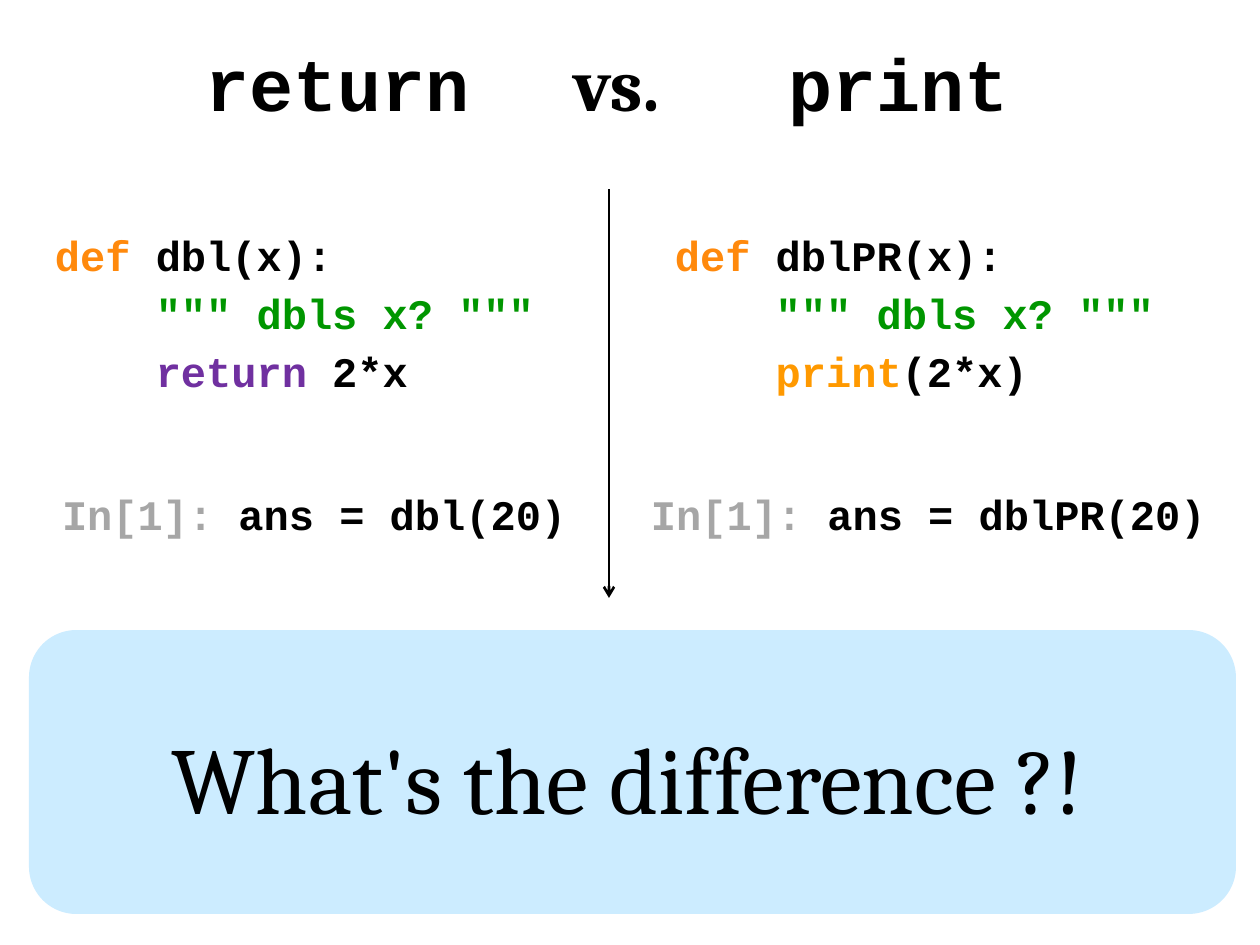
"""Build the slide that compares return with print."""
from dataclasses import dataclass

from lxml.etree import SubElement
from pptx import Presentation
from pptx.dml.color import RGBColor
from pptx.enum.shapes import MSO_CONNECTOR, MSO_SHAPE
from pptx.enum.text import PP_ALIGN
from pptx.oxml.ns import qn
from pptx.slide import Slide
from pptx.text.text import _Paragraph as Paragraph
from pptx.util import Emu, Pt

COLORS = {
    "black": "000000",
    "keyword": "FF890C",
    "docstring": "009600",
    "return": "7030A0",
    "print": "FF9900",
    "prompt": "A6A6A6",
    "panel": "CCECFF",
}
SERIF = "Cambria"
MONO = "Courier New"


@dataclass(frozen=True)
class Piece:
    text: str
    color: str = "black"
    font: str = MONO
    bold: bool = True


@dataclass(frozen=True)
class TextBlock:
    left: int
    top: int
    width: int
    height: int
    size: int
    lines: tuple[tuple[Piece, ...], ...]
    centered: bool = False
    line_spacing: float = 1.0
    space_before: int = 0
    margin_left: int = 13
    margin_top: int = 6
    tab_stops: tuple[int, ...] = ()


def px(length: int) -> Emu:
    """Turn pixels into EMU."""
    return Emu(round(length * 914400 / 126))


def rgb(name: str) -> RGBColor:
    """Look up a named colour."""
    return RGBColor.from_string(COLORS[name])


def add_tab_stops(paragraph: Paragraph, stops: tuple[int, ...]) -> None:
    """Give a paragraph left-aligned tab stops."""
    tab_list = SubElement(paragraph._p.get_or_add_pPr(), qn("a:tabLst"))
    for stop in stops:
        SubElement(tab_list, qn("a:tab"), pos=str(px(stop)), algn="l")


def add_text_block(slide: Slide, block: TextBlock) -> None:
    """Draw a text box made of coloured pieces."""
    shape = slide.shapes.add_textbox(
        px(block.left), px(block.top), px(block.width), px(block.height)
    )
    text_frame = shape.text_frame
    text_frame.word_wrap = True
    text_frame.margin_left = px(block.margin_left)
    text_frame.margin_top = px(block.margin_top)
    for index, line in enumerate(block.lines):
        paragraph = text_frame.add_paragraph() if index else text_frame.paragraphs[0]
        if block.tab_stops:
            add_tab_stops(paragraph, block.tab_stops)
        paragraph.alignment = PP_ALIGN.CENTER if block.centered else PP_ALIGN.LEFT
        paragraph.line_spacing = block.line_spacing
        if index:
            paragraph.space_before = Pt(block.space_before)
        for piece in line:
            run = paragraph.add_run()
            run.text = piece.text
            run.font.name = piece.font
            run.font.size = Pt(block.size)
            run.font.bold = piece.bold
            run.font.color.rgb = rgb(piece.color)


def add_panel(slide: Slide) -> None:
    """Draw the rounded panel behind the question."""
    shape = slide.shapes.add_shape(
        MSO_SHAPE.ROUNDED_RECTANGLE, px(29), px(630), px(1207), px(284)
    )
    shape.shadow.inherit = False
    shape.fill.solid()
    shape.fill.fore_color.rgb = rgb("panel")
    shape.line.fill.background()


def add_divider(slide: Slide) -> None:
    """Draw the arrow between the two columns."""
    connector = slide.shapes.add_connector(
        MSO_CONNECTOR.STRAIGHT, px(609), px(189), px(609), px(598)
    )
    connector.line.color.rgb = rgb("black")
    connector.line.width = Pt(1.5)
    SubElement(connector.line._get_or_add_ln(), qn("a:tailEnd"), type="arrow")
    SubElement(connector._element.spPr, qn("a:effectLst"))


def function_block(left: int, name: str, last_line: tuple[Piece, ...]) -> TextBlock:
    """Describe the definition of one function."""
    lines = (
        (Piece("def ", "keyword"), Piece(f"{name}(x):")),
        (Piece("    "), Piece('""" dbls x? """', "docstring")),
        (Piece("    "), *last_line),
    )
    return TextBlock(left, 227, 567, 174, 24, lines,
                     line_spacing=0.7, space_before=13, margin_top=16)


def call_block(left: int, width: int, name: str) -> TextBlock:
    """Describe the prompt that calls one function."""
    line = (Piece("In[1]: ", "prompt"), Piece(f"ans = {name}(20)"))
    return TextBlock(left, 483, width, 64, 24, (line,))


def main() -> None:
    """Build and save the presentation."""
    presentation = Presentation()
    presentation.slide_width, presentation.slide_height = px(1260), px(945)
    slide = presentation.slides.add_slide(presentation.slide_layouts[6])
    title = (Piece("return\t"), Piece("vs.\t", font=SERIF), Piece("print"))
    question = (Piece("What's the difference ?!", font=SERIF, bold=False),)
    blocks = (
        TextBlock(38, 32, 1139, 101, 42, (title,),
                  margin_left=167, tab_stops=(368, 583)),
        function_block(42, "dbl", (Piece("return", "return"), Piece(" 2*x"))),
        function_block(662, "dblPR", (Piece("print", "print"), Piece("(2*x)"))),
        call_block(49, 612, "dbl"),
        call_block(638, 591, "dblPR"),
        TextBlock(121, 714, 1013, 127, 54, (question,), centered=True),
    )
    add_panel(slide)
    add_divider(slide)
    for block in blocks:
        add_text_block(slide, block)
    presentation.save("out.pptx")


if __name__ == "__main__":
    main()
